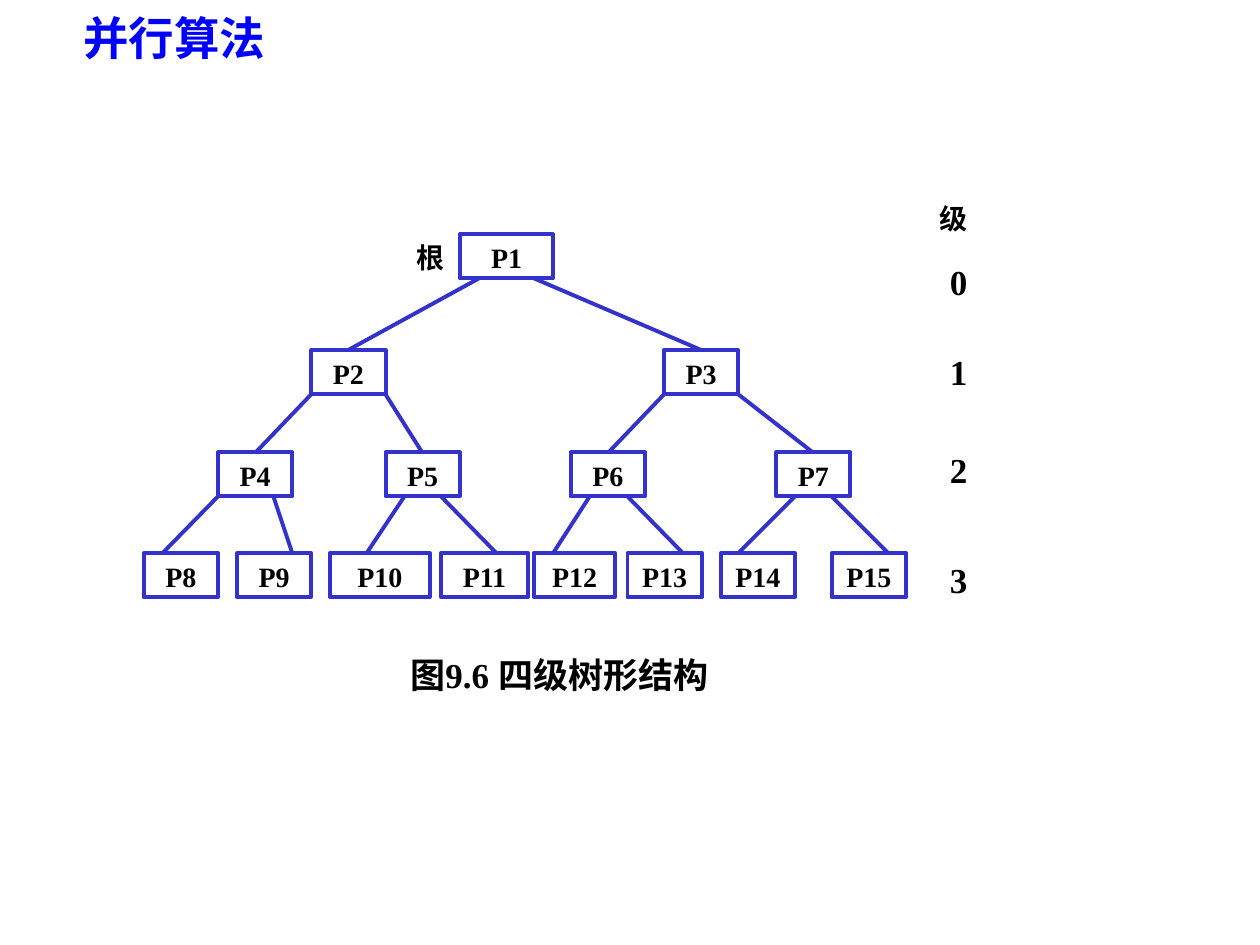
"""Build a slide that shows a four-level binary tree of processors."""
from lxml.etree import SubElement
from pptx import Presentation
from pptx.dml.color import RGBColor
from pptx.enum.shapes import MSO_CONNECTOR as Conn, MSO_SHAPE as Shape
from pptx.enum.text import MSO_ANCHOR as Anchor, PP_ALIGN as Align
from pptx.oxml.ns import qn
from pptx.util import Inches, Pt

FONT = "Times New Roman"
BLACK, WHITE, BLUE, EDGE = "000000", "FFFFFF", "0000FF", "3333CC"
TOPS = [1.86, 2.78, 3.59, 4.39]
HIGH, WIDE = 0.35, 0.59

# Left and width of each node, in heap order from P1.
NODES = [
    (3.65, 0.74),
    (2.47, WIDE), (5.27, WIDE),
    (1.73, WIDE), (3.06, WIDE), (4.53, WIDE), (6.16, WIDE),
    (1.14, WIDE), (1.88, WIDE), (2.62, 0.79), (3.5, 0.69),
    (4.24, 0.64), (4.98, WIDE), (5.72, WIDE), (6.6, WIDE),
]
# Start and end x of the edge into each node, from P2.
EDGES = [
    (3.8, 2.76), (4.24, 5.57),
    (2.47, 2.03), (3.06, 3.35), (5.27, 4.83), (5.86, 6.45),
    (1.73, 1.29), (2.17, 2.32), (3.21, 2.91), (3.5, 3.94),
    (4.68, 4.39), (4.98, 5.42), (6.31, 5.86), (6.6, 7.05),
]
MARKS = [
    ("根", 3.21, 1.86, 0.44, 0.34, 16),
    ("级", 7.36, 1.55, 0.79, 0.43, 16),
    ("0", 7.44, 2.02, 0.79, 0.47, 20),
    ("1", 7.44, 2.73, 0.87, 0.63, 20),
    ("2", 7.44, 3.51, 0.79, 0.71, 20),
    ("3", 7.44, 4.38, 0.71, 0.44, 20),
]


def color(code):
    """Turn a hex string into a colour."""
    return RGBColor.from_string(code)


def write(shape, text, size, align=Align.CENTER, code=BLACK, pad=0.1):
    """Put one bold run of text at the top of a shape."""
    frame = shape.text_frame
    frame.word_wrap = True
    frame.vertical_anchor = Anchor.TOP
    frame.margin_left = frame.margin_right = Inches(pad)
    para = frame.paragraphs[0]
    para.alignment = align
    run = para.add_run()
    run.text = text
    font = run.font
    font.name, font.size, font.bold = FONT, Pt(size), True
    font.color.rgb = color(code)


def add_text(slide, text, left, top, width, height, size, **style):
    """Add a text box."""
    area = map(Inches, (left, top, width, height))
    write(slide.shapes.add_textbox(*area), text, size, **style)


def add_node(slide, text, left, top, width):
    """Add an outlined tree node."""
    area = map(Inches, (left, top, width, HIGH))
    box = slide.shapes.add_shape(Shape.RECTANGLE, *area)
    box.shadow.inherit = False
    box.fill.solid()
    box.fill.fore_color.rgb = color(WHITE)
    box.line.color.rgb = color(EDGE)
    box.line.width = Pt(2.25)
    write(box, text, 16, pad=0.06)


def add_edge(slide, start, end, level):
    """Join a node on one level to its parent on the level above."""
    ends = map(Inches, (start, TOPS[level - 1] + HIGH, end, TOPS[level]))
    line = slide.shapes.add_connector(Conn.STRAIGHT, *ends)
    line.line.color.rgb = color(EDGE)
    line.line.width = Pt(2.25)
    SubElement(line._element.spPr, qn("a:effectLst"))


def main():
    """Build and save the slide."""
    deck = Presentation()
    deck.slide_width, deck.slide_height = Inches(10), Inches(7.5)
    slide = deck.slides.add_slide(deck.slide_layouts[6])
    add_text(slide, "并行算法", -0.06, 0.03, 2.89, 0.54, 26, code=BLUE)
    for num, (left, width) in enumerate(NODES, 1):
        add_node(slide, f"P{num}", left, TOPS[num.bit_length() - 1], width)
    for num, (start, end) in enumerate(EDGES, 2):
        add_edge(slide, start, end, num.bit_length() - 1)
    for mark in MARKS:
        add_text(slide, *mark, align=Align.JUSTIFY)
    add_text(slide, "图9.6 四级树形结构", 2.72, 5.14, 3.44, 0.77, 20)
    deck.save("out.pptx")


if __name__ == "__main__":
    main()
